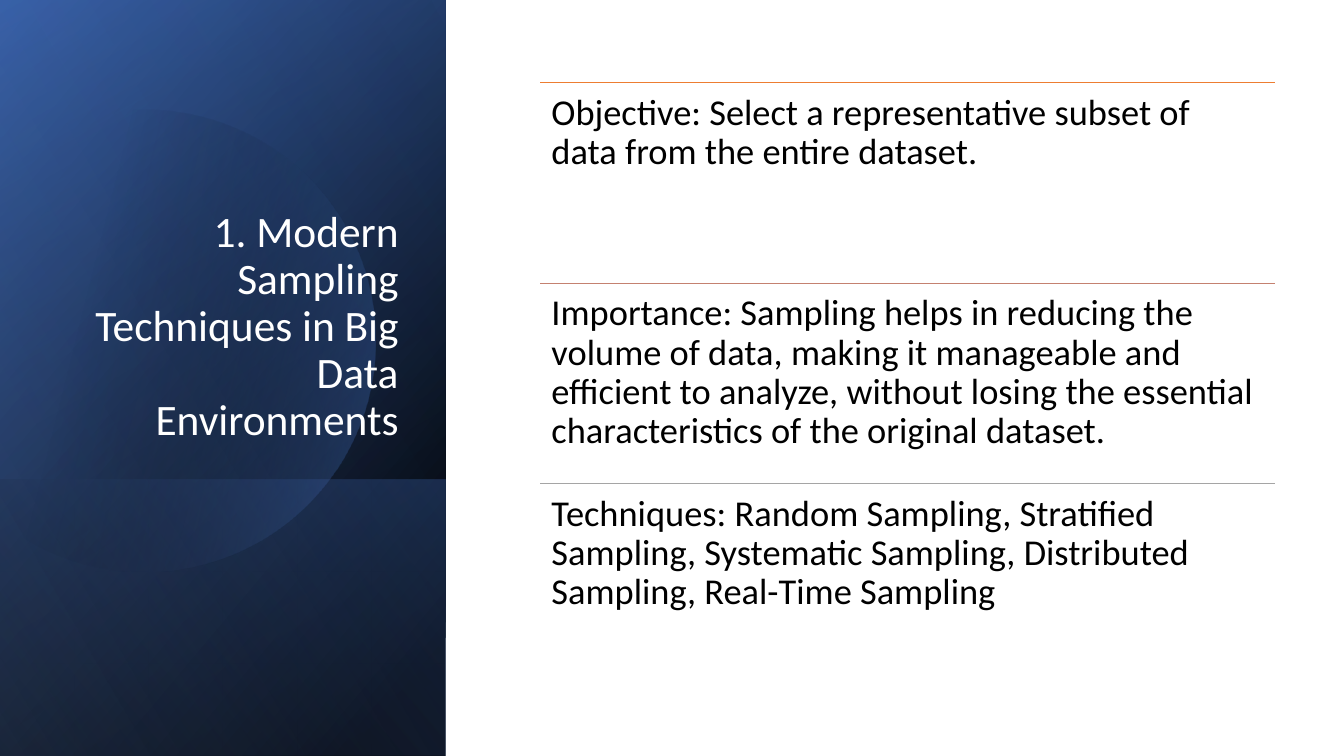
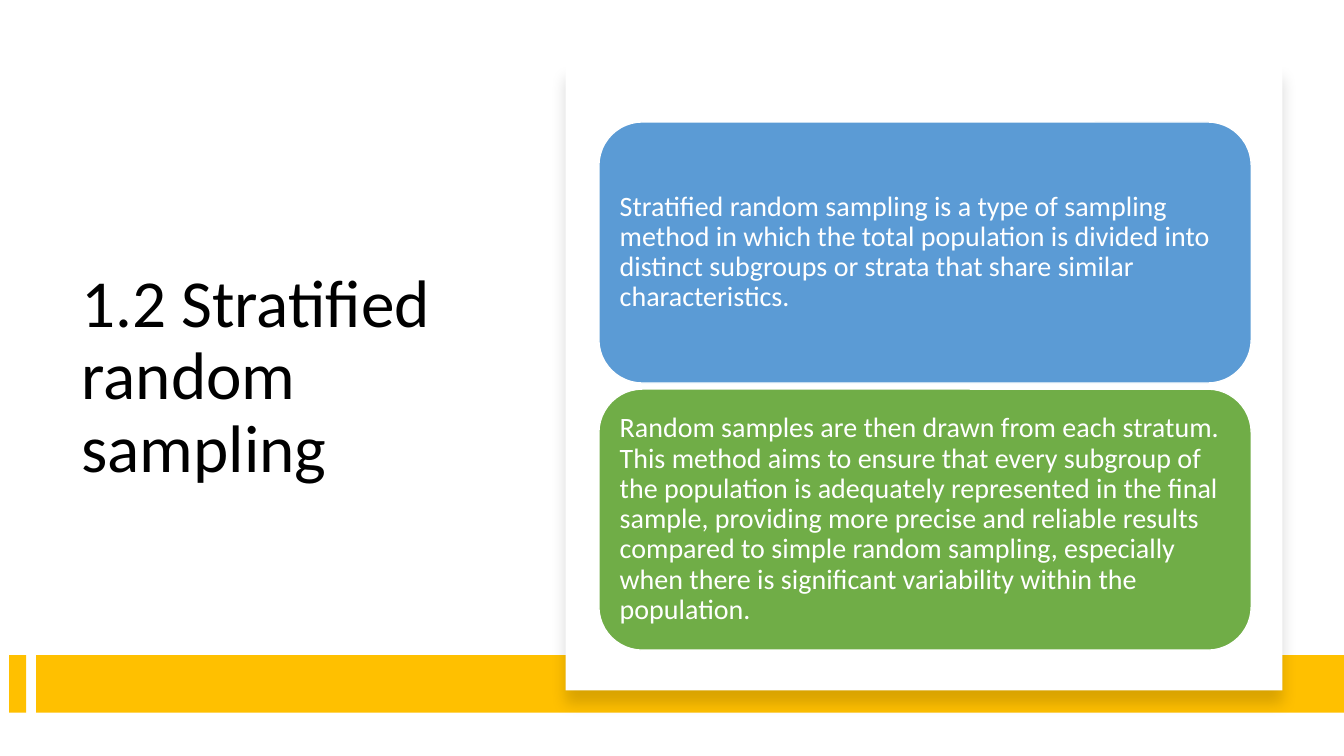
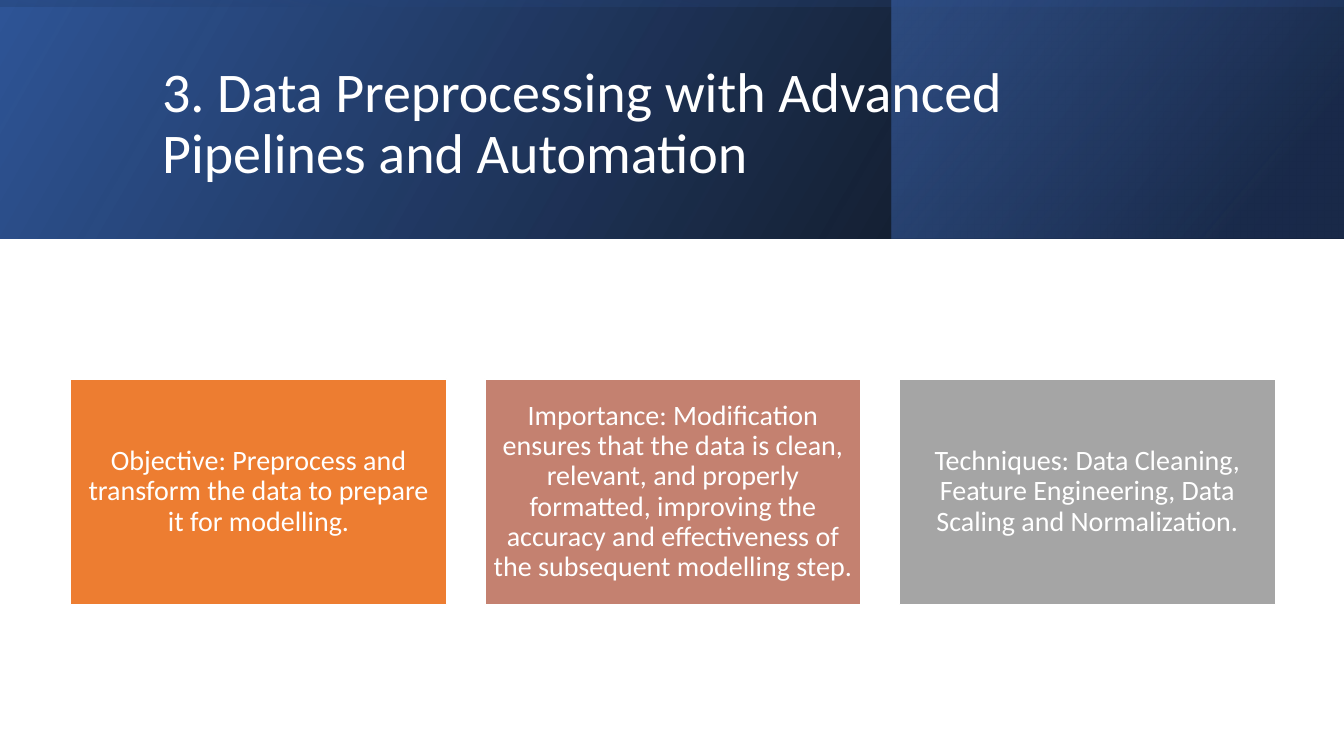
"""Build three slides on sampling and data preprocessing."""
import math

import lxml.etree
import pptx
import pptx.dml.color
import pptx.enum.shapes
import pptx.enum.text
import pptx.oxml.ns
import pptx.util

PX = 9144
FONT = "Calibri"
COLORS = {
    "black": "000000", "white": "FFFFFF", "navy": "2F5597", "deep": "203864",
    "blue": "4472C4", "pale": "8FAADC", "sky": "5B9BD5", "green": "70AD47",
    "orange": "ED7D31", "rose": "C48170", "gray": "A5A5A5", "gold": "FFC000",
}
SHAPES = pptx.enum.shapes.MSO_SHAPE
ALIGN = pptx.enum.text.PP_ALIGN
ANCHOR = pptx.enum.text.MSO_ANCHOR


def px(*lengths):
    """Turn px lengths into EMU."""
    return [pptx.util.Emu(round(length * PX)) for length in lengths]


def rgb(name):
    """Look up a palette colour."""
    return pptx.dml.color.RGBColor.from_string(COLORS[name])


def add_node(parent, tag, **attributes):
    """Append a DrawingML element."""
    node = lxml.etree.SubElement(parent, pptx.oxml.ns.qn("a:" + tag))
    for name, value in attributes.items():
        node.set(name, str(value))
    return node


def add_color(parent, name, alpha):
    """Append a colour with an opacity in percent."""
    color = add_node(parent, "srgbClr", val=COLORS[name])
    if alpha < 100:
        add_node(color, "alpha", val=alpha * 1000)


def set_gradient(shape, stops, angle):
    """Fill a shape with (position, colour, opacity) stops at a clockwise angle."""
    shape.shadow.inherit = False
    shape.line.fill.background()
    shape.fill.background()
    properties = shape.element.spPr
    gradient = add_node(properties, "gradFill", rotWithShape=1)
    properties.replace(properties.find(pptx.oxml.ns.qn("a:noFill")), gradient)
    stop_list = add_node(gradient, "gsLst")
    for position, name, alpha in stops:
        add_color(add_node(stop_list, "gs", pos=position * 1000), name, alpha)
    add_node(gradient, "lin", ang=angle * 60000, scaled=0)


def add_gradient_panel(page, box, stops, angle, rotation=0):
    """Cover a box with a mirrored gradient rectangle, turned if asked."""
    left, top, width, height = box
    if rotation:
        left, top = left + (width - height) / 2, top + (height - width) / 2
        width, height = height, width
    panel = page.shapes.add_shape(SHAPES.RECTANGLE, *px(left, top, width, height))
    panel.rotation = rotation
    panel.element.spPr.get_or_add_xfrm().set("flipH", "1")
    set_gradient(panel, stops, angle)


def add_cut_disc(page, center, radius, cut, stops, angle):
    """Draw a disc whose left side is cut off at x = cut."""
    center_x, center_y = center
    reach = math.acos((cut - center_x) / radius)
    steps = 120
    angles = [reach * (2 * step / steps - 1) for step in range(steps + 1)]
    points = [px(center_x + radius * math.cos(turn), center_y + radius * math.sin(turn))
              for turn in angles]
    builder = page.shapes.build_freeform(*points[0])
    builder.add_line_segments(points[1:], close=True)
    set_gradient(builder.convert_to_shape(), stops, angle)


def add_block(page, box, color, kind=SHAPES.RECTANGLE, outline=None):
    """Draw a plain filled shape."""
    block = page.shapes.add_shape(kind, *px(*box))
    block.shadow.inherit = False
    block.fill.solid()
    block.fill.fore_color.rgb = rgb(color)
    if outline:
        block.line.color.rgb = rgb(outline)
        block.line.width = pptx.util.Pt(1)
    else:
        block.line.fill.background()
    return block


def write(shape, text, size, color, align=ALIGN.LEFT, anchor=ANCHOR.MIDDLE, inset=(8, 8)):
    """Put one styled paragraph into a shape."""
    frame = shape.text_frame
    frame.word_wrap = True
    frame.vertical_anchor = anchor
    frame.margin_left = frame.margin_right = px(inset[0])[0]
    frame.margin_top = frame.margin_bottom = px(inset[1])[0]
    para = frame.paragraphs[0]
    para.text = text
    para.alignment = align
    para.line_spacing = 0.9
    para.font.name = FONT
    para.font.size = pptx.util.Pt(size)
    para.font.color.rgb = rgb(color)


def add_title(page, box, text, size, color, align=ALIGN.LEFT, anchor=ANCHOR.MIDDLE):
    """Place a slide title."""
    write(page.shapes.add_textbox(*px(*box)), text, size, color, align, anchor, (10, 5))


def add_ruled_list(page, box, items):
    """Stack texts in equal rows, each under a thin rule."""
    left, top, width, height = box
    row_height = height / len(items)
    for index, (color, text) in enumerate(items):
        row_top = top + index * row_height
        rule = page.shapes.add_connector(
            pptx.enum.shapes.MSO_CONNECTOR.STRAIGHT,
            *px(left, row_top, left + width, row_top))
        rule.line.color.rgb = rgb(color)
        rule.line.width = pptx.util.Pt(0.5)
        add_node(rule.element.spPr, "effectLst")
        row = page.shapes.add_textbox(*px(left, row_top, width, row_height))
        write(row, text, 26, "black", anchor=ANCHOR.TOP, inset=(11, 11))


def add_card_column(page, box, gap, items):
    """Stack rounded cards of equal height."""
    left, top, width, height = box
    card_height = (height - gap * (len(items) - 1)) / len(items)
    for index, (color, text) in enumerate(items):
        card_top = top + index * (card_height + gap)
        card = add_block(page, (left, card_top, width, card_height), color,
                         SHAPES.ROUNDED_RECTANGLE, "white")
        write(card, text, 20, "white")


def add_card_row(page, box, gap, items):
    """Set square-cornered cards of equal width side by side."""
    left, top, width, height = box
    card_width = (width - gap * (len(items) - 1)) / len(items)
    for index, (color, text) in enumerate(items):
        card_left = left + index * (card_width + gap)
        card = add_block(page, (card_left, top, card_width, height), color, outline="white")
        write(card, text, 20, "white", ALIGN.CENTER)


def add_side_panel(page, box):
    """Layer the gradients of the dark title panel."""
    left, top, width, height = box
    add_gradient_panel(page, box, [(8, "black", 100), (100, "navy", 100)], 50, 90)
    add_gradient_panel(page, box, [(0, "black", 0), (99, "blue", 46)], 30, 90)
    add_gradient_panel(page, (left, top + height - 274, width, 274),
                       [(2, "blue", 29), (100, "black", 30)], 130, 90)
    add_cut_disc(page, (left + 143, top + 338), 229, left - 15,
                 [(29, "black", 0), (100, "blue", 43)], 14)
    add_gradient_panel(page, box, [(0, "black", 0), (99, "pale", 11)], 120, 90)


def add_header_band(page, box):
    """Layer the gradients of the dark header band."""
    left, top, width, height = box
    add_gradient_panel(page, box, [(0, "black", 96), (100, "navy", 100)], 330)
    add_gradient_panel(page, (left + width - 449, top, 449, height),
                       [(19, "deep", 68), (100, "blue", 48)], 320)
    add_gradient_panel(page, box, [(23, "navy", 16), (99, "black", 45)], 350, 270)


def add_gold_band(page, box):
    """Draw the gold bar with its short lead block."""
    left, top, width, height = box
    add_block(page, (left, top, 17, height), "gold")
    add_block(page, (left + 27, top, width - 27, height), "gold")


def add_raised_sheet(page, box):
    """Draw a white sheet with a soft shadow below."""
    sheet = add_block(page, box, "white")
    effects = sheet.element.spPr.find(pptx.oxml.ns.qn("a:effectLst"))
    shadow = add_node(effects, "outerShdw", blurRad=pptx.util.Pt(11), dist=pptx.util.Pt(10),
                      dir=90 * 60000, algn="t", rotWithShape=0)
    add_color(shadow, "black", 15)


def build_sampling(page):
    """Build the slide on modern sampling techniques."""
    add_side_panel(page, (0, 0, 442, 750))
    add_title(page, (64, 184, 341, 262),
              "1. Modern Sampling Techniques in Big Data Environments",
              31, "white", ALIGN.RIGHT, ANCHOR.BOTTOM)
    add_ruled_list(page, (536, 82, 729, 597), [
        ("orange", "Objective: Select a representative subset of data from the entire dataset."),
        ("rose", "Importance: Sampling helps in reducing the volume of data, making it "
                 "manageable and efficient to analyze, without losing the essential "
                 "characteristics of the original dataset."),
        ("gray", "Techniques: Random Sampling, Stratified Sampling, Systematic Sampling, "
                 "Distributed Sampling, Real-Time Sampling"),
    ])


def build_stratified(page):
    """Build the slide on stratified random sampling."""
    add_title(page, (71, 120, 415, 510), "1.2 Stratified random sampling", 48, "black")
    add_gold_band(page, (9, 650, 1324, 57))
    add_raised_sheet(page, (561, 64, 711, 621))
    add_card_column(page, (594, 121, 647, 524), 6, [
        ("sky", "Stratified random sampling is a type of sampling method in which the total "
                "population is divided into distinct subgroups or strata that share similar "
                "characteristics."),
        ("green", "Random samples are then drawn from each stratum. This method aims to ensure "
                  "that every subgroup of the population is adequately represented in the final "
                  "sample, providing more precise and reliable results compared to simple random "
                  "sampling, especially when there is significant variability within the "
                  "population."),
    ])


def build_preprocessing(page):
    """Build the slide on data preprocessing."""
    add_header_band(page, (0, 0, 1333, 237))
    add_title(page, (151, 38, 1063, 172),
              "3. Data Preprocessing with Advanced Pipelines and Automation", 40, "white")
    add_card_row(page, (70, 376, 1195, 224), 38, [
        ("orange", "Objective: Preprocess and transform the data to prepare it for modelling."),
        ("rose", "Importance: Modification ensures that the data is clean, relevant, and "
                 "properly formatted, improving the accuracy and effectiveness of the "
                 "subsequent modelling step."),
        ("gray", "Techniques: Data Cleaning, Feature Engineering, Data Scaling and "
                 "Normalization."),
    ])


def main():
    """Build and save the deck."""
    deck = pptx.Presentation()
    deck.slide_width, deck.slide_height = px(1333, 750)
    for build in (build_sampling, build_stratified, build_preprocessing):
        build(deck.slides.add_slide(deck.slide_layouts[6]))
    deck.save("out.pptx")


if __name__ == "__main__":
    main()
